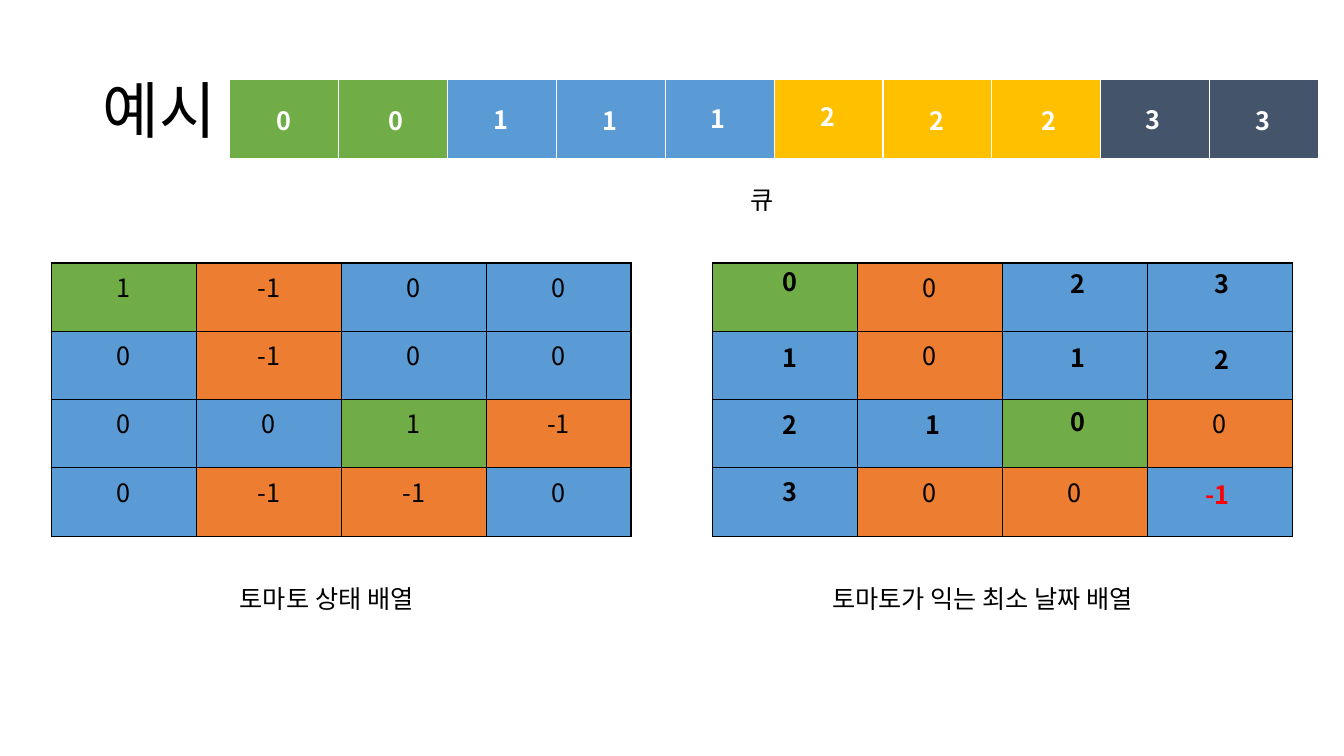
from lxml.etree import SubElement
from pptx import Presentation
from pptx.dml.color import RGBColor
from pptx.enum.text import MSO_ANCHOR as Anchor, MSO_AUTO_SIZE as AutoSize, PP_ALIGN as Align
from pptx.oxml.ns import qn
from pptx.util import Pt

FONT = "Noto Sans CJK KR"
BLACK, WHITE, RED = "000000", "FFFFFF", "FF0000"
# Fill of each cell type: green, orange, blue, yellow, navy
FILLS = {"G": "70AD47", "O": "ED7D31", "B": "5B9BD5", "Y": "FFC000", "N": "44546A"}
TOMATO_FILLS = ["GOBB", "BOBB", "BBGO", "BOOB"]
TOMATO_STATES = [
    ["1", "-1", "0", "0"],
    ["0", "-1", "0", "0"],
    ["0", "0", "1", "-1"],
    ["0", "-1", "-1", "0"],
]
LABEL_HEIGHT = 28.8
# Day labels: row, column, text, offset within the cell
DAYS = [
    (0, 0, "0", 43.2, -1.4), (0, 2, "2", 41.4, 0), (0, 3, "3", 40.9, 0),
    (1, 0, "1", 42.5, 4.5), (1, 2, "1", 41.4, 4.5), (1, 3, "2", 40.9, 5.9),
    (2, 0, "2", 42.5, 3.2), (2, 1, "1", 41.2, 3.2), (2, 2, "0", 41.4, 1),
    (3, 0, "3", 42.5, 2.6), (3, 3, "-1", 34.4, 4.8),
]
# Queue entries: text, offset within the cell
QUEUE = [
    ("0", 18.7, 14.4), ("0", 20.9, 14.4), ("1", 18, 13.7), ("1", 18, 14.4),
    ("1", 17.3, 13), ("2", 18, 11.5), ("2", 18, 14.4), ("2", 20.9, 14.4),
    ("3", 17.3, 13.7), ("3", 18, 14.4),
]


def rgb(color):
    return RGBColor.from_string(color)


def write(para, text, size=18, color=BLACK, bold=False, align=Align.LEFT):
    para.alignment = align
    span = para.add_run()
    span.text = text
    font = span.font
    font.name, font.size, font.bold = FONT, Pt(size), bold
    font.color.rgb = rgb(color)
    SubElement(font._element, qn("a:ea")).set("typeface", FONT)


def add_label(page, left, top, width, text, **style):
    box = page.shapes.add_textbox(Pt(left), Pt(top), Pt(width), Pt(LABEL_HEIGHT))
    box.text_frame.word_wrap = True
    write(box.text_frame.paragraphs[0], text, **style)


def add_borders(cell, color, bottom):
    props = cell._tc.get_or_add_tcPr()
    for side, width in (("L", 1), ("R", 1), ("T", 1), ("B", bottom)):
        line = SubElement(props, qn(f"a:ln{side}"), w=str(Pt(width)))
        fill = SubElement(line, qn("a:solidFill"))
        SubElement(fill, qn("a:srgbClr"), val=color)


def add_grid(page, box, fills, texts=None, border=BLACK, bottom=1):
    left, top, width, height = map(Pt, box)
    table = page.shapes.add_table(len(fills), len(fills[0]), left, top, width, height).table
    table.first_row = table.horz_banding = False
    for row, codes in enumerate(fills):
        for column, code in enumerate(codes):
            cell = table.cell(row, column)
            add_borders(cell, border, bottom)
            cell.fill.solid()
            cell.fill.fore_color.rgb = rgb(FILLS[code])
            if texts and texts[row][column]:
                write(cell.text_frame.paragraphs[0], texts[row][column], align=Align.CENTER)


def add_title(page, box):
    title = page.shapes.title
    title.left, title.top, title.width, title.height = map(Pt, box)
    frame = title.text_frame
    frame.auto_size = AutoSize.NONE
    frame.vertical_anchor = Anchor.MIDDLE
    frame.paragraphs[0].line_spacing = 0.9
    write(frame.paragraphs[0], "예시", size=44)


def add_queue(page, box):
    left, top, width, height = box
    add_grid(page, box, ["GGBBBYYYNN"], border=WHITE, bottom=3)
    step = width / len(QUEUE)
    for column, (text, dx, dy) in enumerate(QUEUE):
        add_label(page, left + column * step + dx, top + dy, 40.3, text,
                  color=WHITE, bold=True, align=Align.CENTER)
    add_label(page, left + 365, top + height + 14.4, 45.4, "큐")


def add_states(page, box):
    left, top, width, height = box
    add_grid(page, box, TOMATO_FILLS, TOMATO_STATES)
    add_label(page, left + 127.4, top + height + 30.2, 159, "토마토 상태 배열")


def add_days(page, box):
    left, top, width, height = box
    # Empty tomato-free cells hold a plain 0
    zeros = [["0" if code == "O" else "" for code in codes] for codes in TOMATO_FILLS]
    add_grid(page, box, TOMATO_FILLS, zeros)
    for row, column, text, dx, dy in DAYS:
        unripe = text == "-1"
        add_label(page, left + column * width / 4 + dx, top + row * height / 4 + dy,
                  34 if unripe else 23, text, color=RED if unripe else BLACK, bold=True)
    add_label(page, left + 78.5, top + height + 30.2, 257, "토마토가 익는 최소 날짜 배열")


def main():
    deck = Presentation()
    deck.slide_width, deck.slide_height = Pt(960), Pt(540)
    page = deck.slides.add_slide(deck.slide_layouts[5])
    add_title(page, (66, 28.8, 828, 104.4))
    add_states(page, (36.8, 187.9, 414, 195.1))
    add_days(page, (509, 187.9, 414, 195.1))
    add_queue(page, (164.2, 57, 777.6, 56.9))
    deck.save("out.pptx")


if __name__ == "__main__":
    main()
